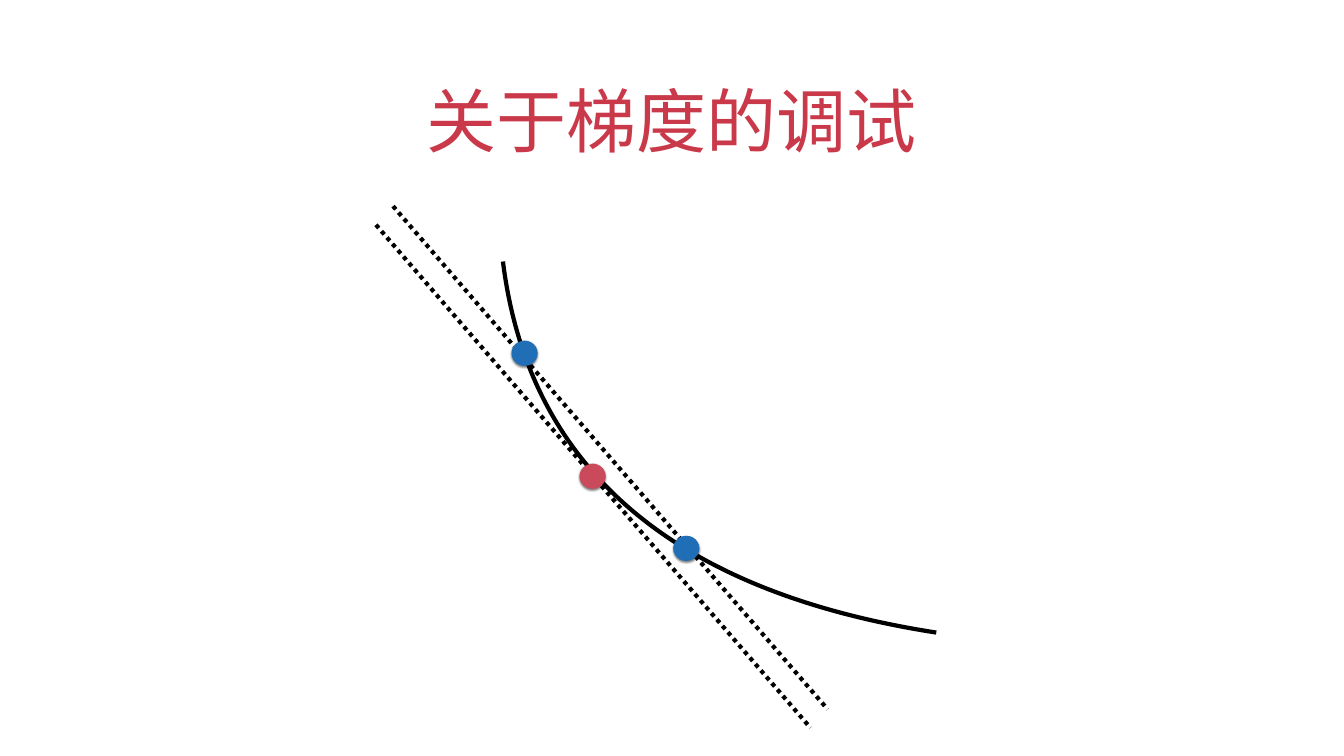
from lxml import etree
from pptx import Presentation
from pptx import util as u
from pptx.dml.color import RGBColor
from pptx.enum import dml, shapes, text
from pptx.oxml import parse_xml
from pptx.oxml.ns import nsdecls, qn


def ink(fmt, color):
    """Give a fill or a font colour a hex value."""
    if hasattr(fmt, "solid"):
        fmt.solid()
        fmt = fmt.fore_color
    fmt.rgb = RGBColor.from_string(color)


deck = Presentation()
deck.slide_width, deck.slide_height = u.Cm(67.74), u.Cm(38.1)
slide = deck.slides.add_slide(deck.slide_layouts[6])
items = slide.shapes

# Title
box = items.add_textbox(u.Cm(4.93), u.Cm(2.67), u.Cm(57.86), u.Cm(5.64))
frame = box.text_frame
frame.word_wrap = True
frame.vertical_anchor = text.MSO_ANCHOR.BOTTOM
frame.margin_left = frame.margin_right = u.Cm(0.15)
frame.margin_top = frame.margin_bottom = u.Cm(0.15)
para = frame.paragraphs[0]
para.alignment = text.PP_ALIGN.CENTER
run = para.add_run()
run.text = "关于梯度的调试"
run.font.size = u.Pt(100)
run.font.name = "Arial"
ink(run.font.color, "C9394A")

# Tangent and secant: parallel dotted lines
lines = []
for x, y in [(18.95, 11.33), (19.81, 10.39)]:
    line = items.add_connector(shapes.MSO_CONNECTOR.STRAIGHT, u.Cm(x), u.Cm(y),
                               u.Cm(x + 21.9), u.Cm(y + 25.35))
    line.line.width = u.Pt(6)
    line.line.dash_style = dml.MSO_LINE.ROUND_DOT
    ink(line.line.fill, "000000")
    etree.SubElement(line._element.spPr, qn("a:effectLst"))
    lines.append(line)
tangent, secant = lines

# Loss curve: its three segments become one Bezier segment
knots = [(u.Cm(x), u.Cm(y)) for x, y in
         [(47.19, 31.88), (33.91, 29.82), (26.64, 23.57), (25.35, 13.18)]]
pen = items.build_freeform(*knots[0])
pen.add_line_segments(knots[1:], close=False)
curve = pen.convert_to_shape()
curve.shadow.inherit = False
curve.fill.background()
curve.line.width = u.Pt(6)
ink(curve.line.fill, "000000")
track = curve._element.spPr.find(".//" + qn("a:path"))
bend = etree.SubElement(track, qn("a:cubicBezTo"))
for seg in track.findall(qn("a:lnTo")):
    bend.append(seg[0])
    track.remove(seg)

# Points on the curve
shade = (f'<a:effectLst {nsdecls("a")}>'
         '<a:outerShdw blurRad="38100" dist="25400" dir="5400000" rotWithShape="0">'
         '<a:srgbClr val="000000"><a:alpha val="50000"/></a:srgbClr>'
         '</a:outerShdw></a:effectLst>')
for x, y, color in [(29.21, 23.37, "CA495A"), (33.93, 27, "1F6EB6"),
                    (25.78, 17.17, "1F6EB6")]:
    dot = items.add_shape(shapes.MSO_SHAPE.OVAL, u.Cm(x), u.Cm(y),
                          u.Cm(1.32), u.Cm(1.27))
    ink(dot.fill, color)
    dot.line.fill.background()
    dot._element.spPr.append(parse_xml(shade))
    if color == "CA495A":
        dot._element.addnext(secant._element)  # the secant passes over this point

deck.save("out.pptx")
